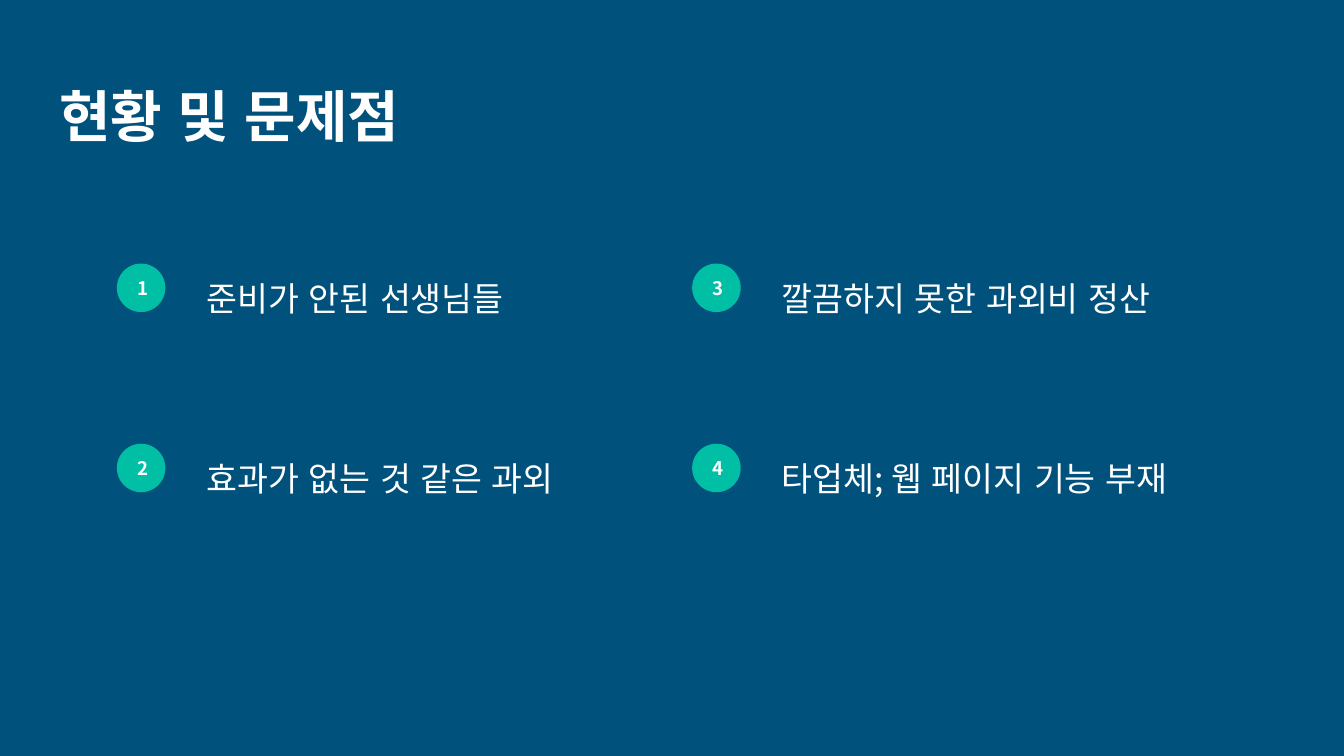
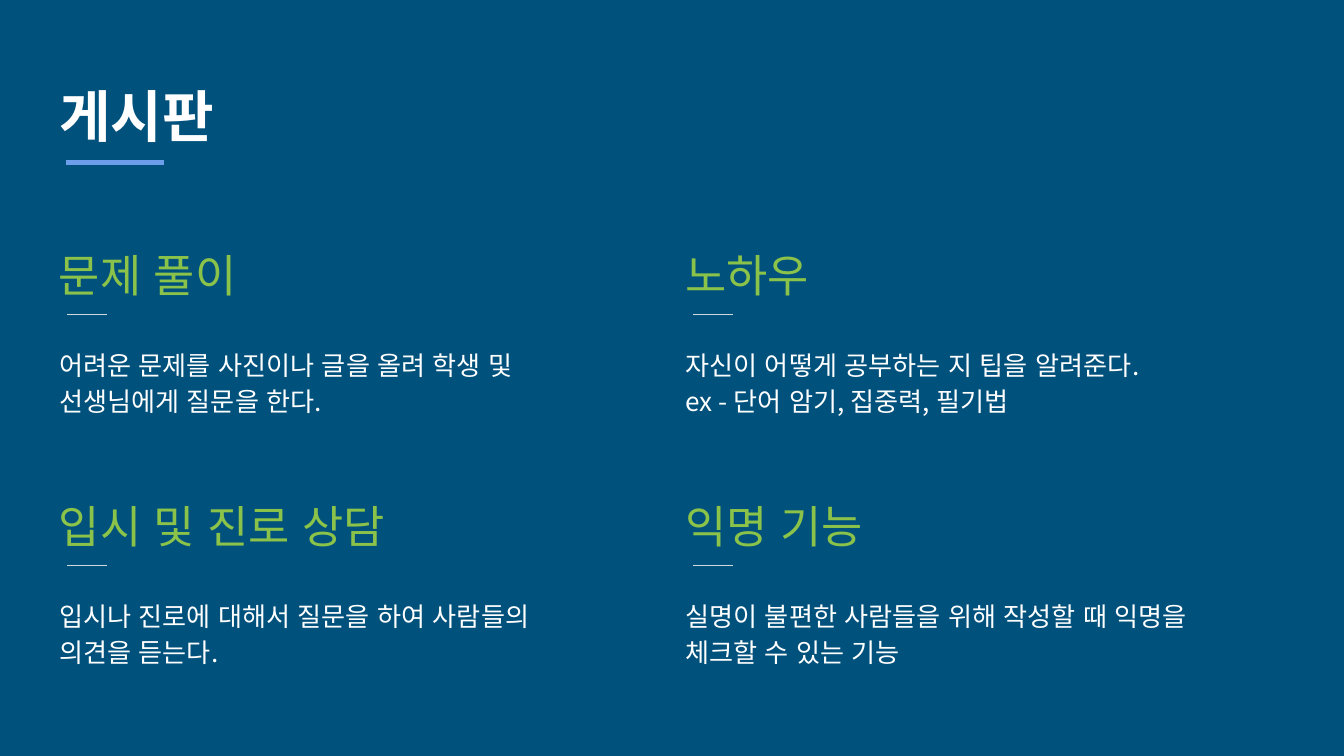
from lxml import etree
from pptx import Presentation
from pptx.dml.color import RGBColor
from pptx.enum.lang import MSO_LANGUAGE_ID
from pptx.enum.shapes import MSO_CONNECTOR, MSO_SHAPE
from pptx.enum.text import MSO_ANCHOR, MSO_AUTO_SIZE, PP_ALIGN
from pptx.oxml.ns import qn
from pptx.util import Pt

LEFT, CENTER = PP_ALIGN.LEFT, PP_ALIGN.CENTER
TOP, MIDDLE, BOTTOM = MSO_ANCHOR.TOP, MSO_ANCHOR.MIDDLE, MSO_ANCHOR.BOTTOM
KOREAN = MSO_LANGUAGE_ID.KOREAN
STRAIGHT, OVAL = MSO_CONNECTOR.STRAIGHT, MSO_SHAPE.OVAL
NO_AUTOFIT = MSO_AUTO_SIZE.NONE

FONT = "Noto Sans CJK KR"
COLORS = {
    "background": "00517C",
    "text": "FFFFFF",
    "badge": "00BFA5",
    "heading": "8BC34A",
    "rule": "CFD8DC",
    "title_rule": "6D9EEB",
}
SLIDE_WIDTH, SLIDE_HEIGHT = 720, 405
MARGIN = 24.5
INSET = 7.2
TITLE_ONLY, COMPARISON = 5, 4

ISSUES = [
    "준비가 안된 선생님들",
    "효과가 없는 것 같은 과외",
    "깔끔하지 못한 과외비 정산",
    "타업체; 웹 페이지 기능 부재",
]
BOARDS = [
    ("문제 풀이", "어려운 문제를 사진이나 글을 올려 학생 및 선생님에게 질문을 한다."),
    ("노하우", "자신이 어떻게 공부하는 지 팁을 알려준다.\nex - 단어 암기, 집중력, 필기법"),
    ("입시 및 진로 상담", "입시나 진로에 대해서 질문을 하여 사람들의 의견을 듣는다."),
    ("익명 기능", "실명이 불편한 사람들을 위해 작성할 때 익명을 체크할 수 있는 기능"),
]


def rgb(name):
    return RGBColor.from_string(COLORS[name])


def place(shape, left, top, width, height):
    shape.left, shape.top = Pt(left), Pt(top)
    shape.width, shape.height = Pt(width), Pt(height)


def write(shape, text, size, color="text", bold=False, align=LEFT,
          anchor=TOP, spacing=1.0, after=0):
    """Fill a shape with plain, unbulleted text in the shared font."""
    frame = shape.text_frame
    frame.text = text
    frame.word_wrap = True
    frame.auto_size = NO_AUTOFIT
    frame.vertical_anchor = anchor
    frame.margin_left = frame.margin_right = Pt(INSET)
    frame.margin_top = frame.margin_bottom = Pt(INSET)
    for paragraph in frame.paragraphs:
        paragraph.alignment = align
        paragraph.line_spacing = spacing
        paragraph.space_before, paragraph.space_after = Pt(0), Pt(after)
        properties = paragraph._p.get_or_add_pPr()
        properties.set("marL", "0")
        properties.set("indent", "0")
        etree.SubElement(properties, qn("a:buNone"))
        for run in paragraph.runs:
            font = run.font
            font.name, font.size, font.bold = FONT, Pt(size), bold
            font.color.rgb = rgb(color)
            font.language_id = KOREAN
            etree.SubElement(run._r.rPr, qn("a:ea"), typeface=FONT)


def add_rule(slide, left, top, width, color, weight):
    rule = slide.shapes.add_connector(
        STRAIGHT, Pt(left), Pt(top), Pt(left + width), Pt(top))
    rule.line.color.rgb = rgb(color)
    rule.line.width = Pt(weight)
    etree.SubElement(rule._element.spPr, qn("a:effectLst"))


def add_text(slide, box, text, size, **style):
    label = slide.shapes.add_textbox(*map(Pt, box))
    write(label, text, size, **style)


def add_titled_slide(prs, layout, title, width):
    slide = prs.slides.add_slide(prs.slide_layouts[layout])
    place(slide.shapes.title, MARGIN, 29.5, width, 57.6)
    write(slide.shapes.title, title, 30, bold=True, anchor=BOTTOM)
    return slide


def add_issue(slide, left, top, number, issue):
    badge = slide.shapes.add_shape(OVAL, Pt(left), Pt(top + 3), Pt(26), Pt(26))
    badge.shadow.inherit = False
    badge.fill.solid()
    badge.fill.fore_color.rgb = rgb("badge")
    badge.line.fill.background()
    write(badge, str(number), 10, bold=True, align=CENTER, anchor=MIDDLE)
    add_text(slide, (left + 41, top, 245.5, 32.4), issue, 18,
             spacing=1.15, after=5)


def add_board(slide, description_holder, left, top, heading, description):
    add_text(slide, (left, top, 231, 41), heading, 24,
             color="heading", spacing=1.15, after=16)
    add_rule(slide, left + 11.5, top + 47.5, 21.2, "rule", 0.75)
    place(description_holder, left, top + 56.5, 303, 65)
    write(description_holder, description, 14, spacing=1.15)


def build_issues_slide(prs):
    slide = add_titled_slide(prs, TITLE_ONLY, "현황 및 문제점", 671)
    for index, issue in enumerate(ISSUES):
        column, row = divmod(index, 2)
        add_issue(slide, 62.6 + 308.2 * column, 138.2 + 96.5 * row,
                  index + 1, issue)


def build_boards_slide(prs):
    slide = add_titled_slide(prs, COMPARISON, "게시판", 211)
    add_rule(slide, 35.3, 87.1, 52.6, "title_rule", 3)
    title_id = slide.shapes.title.shape_id
    holders = [p for p in slide.placeholders if p.shape_id != title_id]
    for index, (holder, board) in enumerate(zip(holders, BOARDS)):
        row, column = divmod(index, 2)
        add_board(slide, holder, MARGIN + 335.5 * column, 121 + 134.6 * row,
                  *board)


def main():
    prs = Presentation()
    prs.slide_width, prs.slide_height = Pt(SLIDE_WIDTH), Pt(SLIDE_HEIGHT)
    background = prs.slide_master.background.fill
    background.solid()
    background.fore_color.rgb = rgb("background")
    build_issues_slide(prs)
    build_boards_slide(prs)
    prs.save("out.pptx")


if __name__ == "__main__":
    main()
